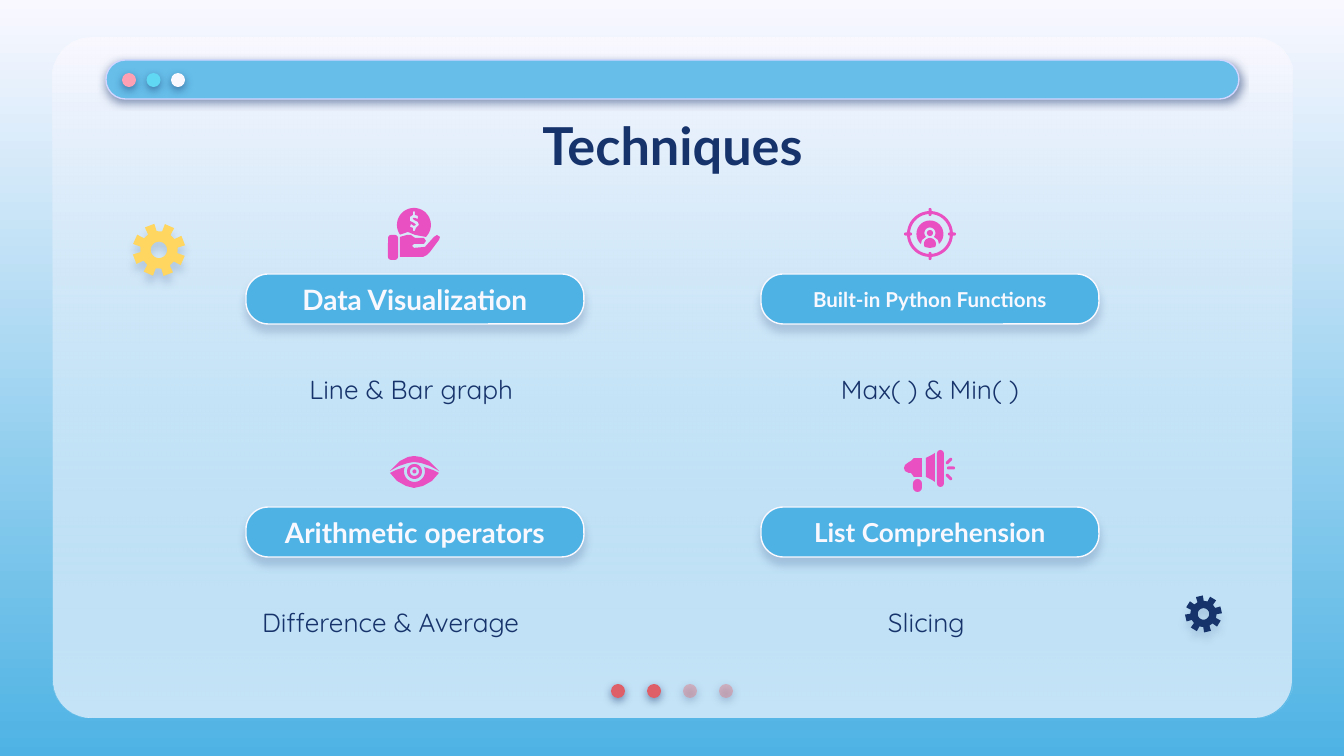
import math

from lxml import etree
from pptx import Presentation
from pptx import util as u
from pptx.dml.color import RGBColor
from pptx.enum import shapes, text
from pptx.oxml import ns

PX = 914400 / 134.4
COLORS = {
    "pale": "F9F8FF", "sky": "4EB3E4", "bar": "66BEE9", "bar_line": "D2D6FF",
    "navy": "17336B", "pink": "E951C2", "yellow": "FFD65F", "red": "DF5F69",
    "faded_red": "E27B83", "rose": "FDA0B4", "aqua": "60D8F4",
}
CARDS = [
    (246, 274, "Data Visualization", 15, "Line & Bar graph ", "CENTER"),
    (761, 274, "Built-in Python Functions", 11, "Max( ) & Min( )", "CENTER"),
    (246, 507, "Arithmetic operators", 15, "Difference & Average", "LEFT"),
    (761, 507, "List Comprehension", 14, "Slicing ", "CENTER"),
]


def px(value):
    return u.Emu(round(value * PX))


def rgb(name):
    return RGBColor.from_string(COLORS[name])


def set_alpha(parent, percent):
    color = parent.findall(".//" + ns.qn("a:srgbClr"))[-1]
    etree.SubElement(color, ns.qn("a:alpha"), val=str(percent * 1000))


def set_gradient(fill, names):
    fill.gradient()
    fill.gradient_angle = 270
    for position, (stop, name) in enumerate(zip(fill.gradient_stops, names)):
        stop.position = position
        stop.color.rgb = rgb(name)


def set_shadow(shape, opacity, distance):
    effects = shape._element.spPr.find(ns.qn("a:effectLst"))
    shadow = etree.SubElement(
        effects, ns.qn("a:outerShdw"), blurRad=str(u.Pt(4.5)),
        dist=str(u.Pt(distance)), dir="5400000", algn="bl", rotWithShape="0")
    etree.SubElement(shadow, ns.qn("a:srgbClr"), val=COLORS["navy"])
    set_alpha(shadow, opacity)


def paint(shape, fill, line=None):
    shape.shadow.inherit = False
    shape.fill.solid()
    shape.fill.fore_color.rgb = rgb(fill)
    if line:
        shape.line.color.rgb = rgb(line)
        shape.line.width = u.Pt(0.75)
    else:
        shape.line.fill.background()
    return shape


def add_round(slide, box, fill, line=None, radius=0.5):
    shape = slide.shapes.add_shape(shapes.MSO_SHAPE.ROUNDED_RECTANGLE, *map(px, box))
    shape.adjustments[0] = radius
    return paint(shape, fill, line)


def add_dot(slide, center_x, center_y, color):
    shape = slide.shapes.add_shape(
        shapes.MSO_SHAPE.OVAL, px(center_x - 7), px(center_y - 7), px(14), px(14))
    paint(shape, color)
    set_shadow(shape, 50, 1.5)
    return shape


def add_outline(slide, color, *contours):
    first, *others = [[(px(x), px(y)) for x, y in contour] for contour in contours]
    builder = slide.shapes.build_freeform(*first[0], scale=1.0)
    builder.add_line_segments(first[1:], close=True)
    for contour in others:
        builder.move_to(*contour[0])
        builder.add_line_segments(contour[1:], close=True)
    return paint(builder.convert_to_shape(), color)


def polar(center_x, center_y, radius, degrees):
    angle = math.radians(degrees)
    return center_x + radius * math.cos(angle), center_y + radius * math.sin(angle)


def arc(center_x, center_y, radius, start=0, end=360, steps=36):
    return [polar(center_x, center_y, radius, start + (end - start) * step / steps)
            for step in range(steps + 1)]


def add_gear(slide, center, radius, turn, color, opacity, distance):
    profile = [(-14, 0.71), (-11, 1), (11, 1), (14, 0.71)]
    teeth = [polar(*center, radius * reach, turn + 45 * tooth + offset)
             for tooth in range(8) for offset, reach in profile]
    shape = add_outline(slide, color, teeth, arc(*center, radius * 0.31))
    set_shadow(shape, opacity, distance)


def write(frame, content, size, font, color, align="CENTER", bold=False, inset=0):
    frame.word_wrap = True
    frame.auto_size = text.MSO_AUTO_SIZE.NONE
    frame.vertical_anchor = text.MSO_ANCHOR.MIDDLE
    frame.margin_left = frame.margin_right = px(inset)
    frame.margin_top = frame.margin_bottom = px(inset)
    paragraph = frame.paragraphs[0]
    paragraph.alignment = getattr(text.PP_ALIGN, align)
    paragraph.space_before = u.Pt(0)
    properties = paragraph._p.get_or_add_pPr()
    properties.set("marL", "0")
    properties.set("indent", "0")
    etree.SubElement(properties, ns.qn("a:buNone"))
    run = paragraph.add_run()
    run.text = content
    run.font.size = u.Pt(size)
    run.font.name = font
    run.font.bold = bold
    run.font.color.rgb = rgb(color)


def place(shape, left, top, width, height):
    shape.left, shape.top, shape.width, shape.height = map(px, (left, top, width, height))


def add_window(slide):
    panel = (53, 38, 1239, 680)
    add_round(slide, panel, "pale", radius=0.056)
    glass = add_round(slide, panel, "pale", radius=0.056)
    set_gradient(glass.fill, ("pale", "bar"))
    set_alpha(glass._element.spPr.find(ns.qn("a:gradFill")), 35)
    for index in range(4):
        faded = index > 1
        dot = add_dot(slide, 618 + 36 * index, 691, "faded_red" if faded else "red")
        if faded:
            set_alpha(dot._element.spPr.find(ns.qn("a:solidFill")), 44)
    set_shadow(add_round(slide, (106, 60, 1133, 39), "bar", "bar_line"), 50, 1.5)
    for index, color in enumerate(("rose", "aqua", "pale")):
        add_dot(slide, 129 + 24.5 * index, 80, color)


def add_card(slide, body, left, top, heading, size, detail, align):
    pill = add_round(slide, (left, top, 338, 50), "sky", "pale", 0.447)
    set_shadow(pill, 18, 3.8)
    write(pill.text_frame, heading, size, "Lato", "pale", bold=True)
    place(body, left + 3, top + 60, 332, 110)
    write(body.text_frame, detail, 14, "Quicksand", "navy", align, inset=13)


def add_hand_icon(slide):
    add_round(slide, (388, 235, 10, 25), "pink", radius=0.3)
    dollar = [
        (414, 211), (415, 212), (415, 215), (418, 216), (418, 219), (415, 218),
        (413, 218), (413, 219), (414, 220), (418, 222), (419, 225), (416, 228),
        (415, 231), (413, 231), (413, 228), (410, 227), (411, 224), (414, 226),
        (416, 225), (414, 223), (410, 221), (410, 217), (413, 215), (413, 212)]
    coin = arc(414, 225, 17, 145, 405) + [(415, 235), (408, 232)]
    add_outline(slide, "pink", coin, dollar)
    add_outline(slide, "pink", [
        (400, 237), (407, 235), (411, 235), (415, 238), (424, 238), (426, 241),
        (424, 244), (414, 244), (412, 246), (414, 248), (425, 247), (434, 237),
        (437, 235), (440, 237), (439, 240), (430, 252), (427, 255), (423, 257),
        (400, 257)])


def add_target_icon(slide):
    x, y = 930, 234
    add_outline(slide, "pink", arc(x, y, 23), arc(x, y, 20))
    for side in (-1, 1):
        add_round(slide, (x - 1.5, y + 22 * side - 4, 3, 8), "pink")
        add_round(slide, (x + 22 * side - 4, y - 1.5, 8, 3), "pink")
    add_outline(slide, "pink", arc(x, y, 13.5, 132, 408) + [(x + 8, y + 6)]
                + arc(x, y - 1, 5.5, 405, 135) + [(x - 8, y + 6)])
    add_outline(slide, "pink", arc(x, y - 1, 3))
    add_outline(slide, "pink", arc(x, y + 10, 6, 150, 390) + [(x, y + 14)])


def add_eye_icon(slide):
    x, y = 414.5, 471.5
    add_outline(slide, "pink", [
        (390, 471), (400, 461), (408, 457), (414, 456), (421, 457), (429, 461),
        (439, 471), (430, 466), (421, 463), (414, 462), (408, 463), (399, 466)])
    add_outline(slide, "pink", arc(x, y, 10.5, 205, -25) + [
        (433, 470), (439, 473), (432, 481), (423, 486), (414, 488), (406, 486),
        (397, 481), (390, 473), (396, 470)])
    add_outline(slide, "pink", arc(x, y, 7.5), arc(x, y, 4.5), arc(x, y, 2))


def add_megaphone_icon(slide):
    add_outline(slide, "pink", [
        (911, 461), (914, 458), (922, 458), (922, 477), (914, 477), (911, 473),
        (909, 473), (905, 471), (904, 468), (905, 465), (909, 462)])
    add_outline(slide, "pink", [
        (935, 453), (932, 455), (926, 458), (926, 477), (932, 480), (935, 482)])
    add_round(slide, (937, 450, 7, 37), "pink")
    add_round(slide, (913, 479, 9, 13), "pink")
    for center_x, center_y, turn in ((951, 468, 0), (949, 477, 45), (949, 461, -45)):
        ray = add_round(slide, (center_x - 4, center_y - 1.5, 8, 3), "pink")
        ray.rotation = turn


def main():
    presentation = Presentation()
    presentation.slide_width, presentation.slide_height = px(1344), px(756)
    slide = presentation.slides.add_slide(presentation.slide_layouts[4])
    set_gradient(slide.background.fill, ("pale", "sky"))
    title, *bodies = list(slide.placeholders)[:5]
    add_window(slide)
    place(title, 106, 102, 1133, 85)
    write(title.text_frame, "Techniques", 28, "Lato", "navy", bold=True, inset=13)
    for body, card in zip(bodies, CARDS):
        add_card(slide, body, *card)
    for shape in (title, *bodies):
        slide.shapes._spTree.append(shape._element)
    for add_icon in (add_hand_icon, add_target_icon, add_eye_icon, add_megaphone_icon):
        add_icon(slide)
    add_gear(slide, (159, 250), 26.5, -111, "yellow", 16, 4.5)
    add_gear(slide, (1203.5, 614), 18.5, -103, "navy", 15, 3.8)
    presentation.save("out.pptx")


if __name__ == "__main__":
    main()
